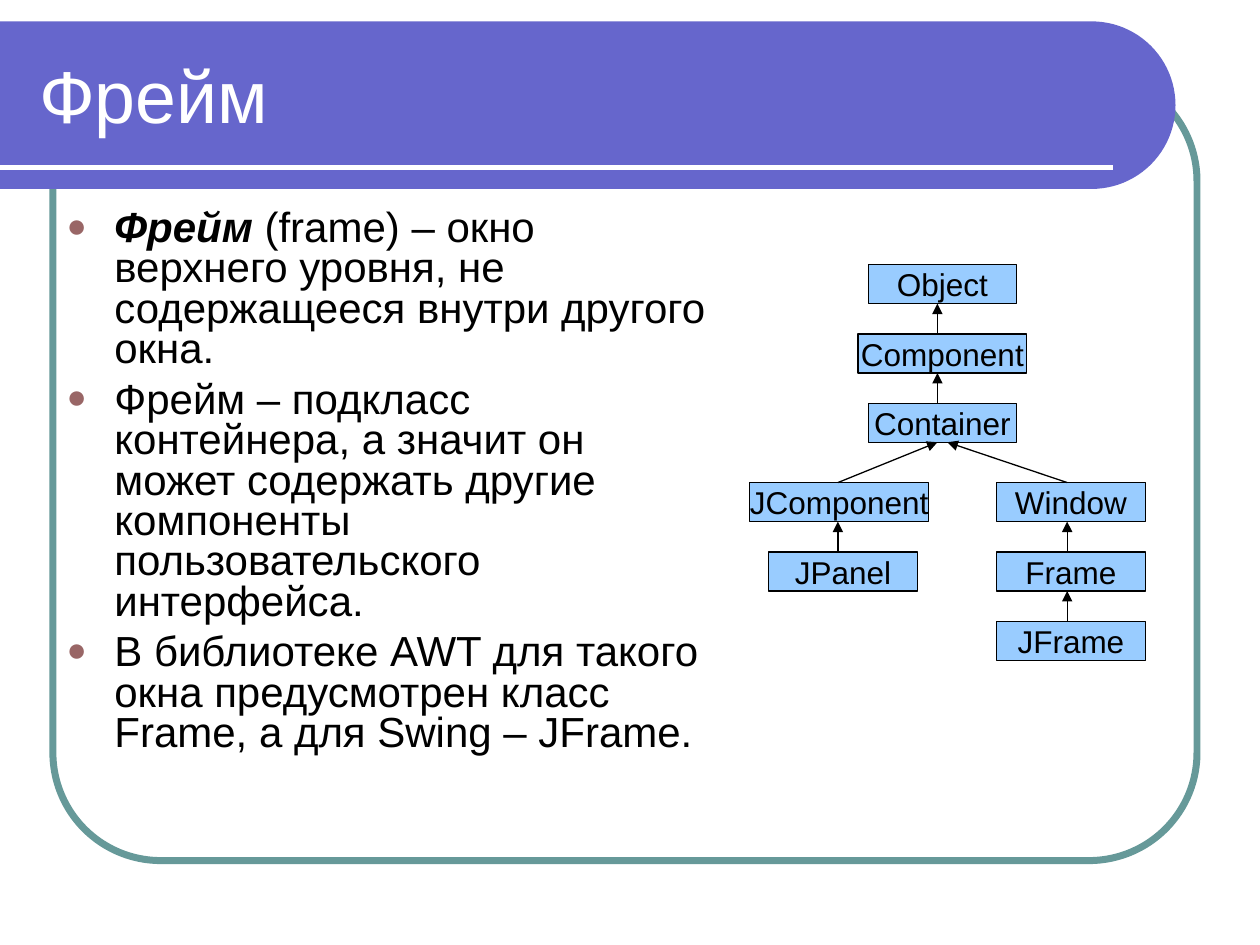
from math import cos, pi, sin

from lxml.etree import SubElement
from pptx import Presentation
from pptx.dml.color import RGBColor
from pptx.enum.shapes import MSO_CONNECTOR as CONN, MSO_SHAPE as SHAPE
from pptx.enum.text import MSO_ANCHOR as ANCHOR, PP_ALIGN as ALIGN
from pptx.oxml.ns import qn
from pptx.util import Inches, Pt


def rgb(value):
    """Turn a hex string into a colour."""
    return RGBColor.from_string(value)


class Deck:
    """Holds the style and the current slide."""

    FONT = "Arial"
    INK, PAPER = "000000", "FFFFFF"
    BANNER, FRAME, BOX, BULLET = "6666CC", "669999", "99CCFF", "996666"

    def __init__(self, prs):
        """Add a title-only slide."""
        self.s = prs.slides.add_slide(prs.slide_layouts[5])

    def style(self, p, size, color):
        """Format every run of a paragraph."""
        for r in p.runs:
            r.font.name, r.font.size = self.FONT, Pt(size)
            r.font.color.rgb = rgb(color)

    def place(self, sp, x, y, w, h):
        """Set position and size in inches."""
        sp.left, sp.top, sp.width, sp.height = map(Inches, (x, y, w, h))

    def frame(self, x, y, w, h, adjust):
        """Draw the rounded outline."""
        sp = self.s.shapes.add_shape(SHAPE.ROUNDED_RECTANGLE, *map(Inches, (x, y, w, h)))
        sp.adjustments[0] = adjust
        sp.shadow.inherit = False
        sp.fill.background()
        sp.line.color.rgb, sp.line.width = rgb(self.FRAME), Pt(4)

    def banner(self, top, right, height, steps=48):
        """Draw a band from the left edge with a half-round right end."""
        radius = height / 2
        angles = [pi * i / steps - pi / 2 for i in range(steps + 1)]
        points = [(right - radius + radius * cos(a), top + radius + radius * sin(a))
                  for a in angles] + [(0, top + height)]
        builder = self.s.shapes.build_freeform(0, Inches(top))
        builder.add_line_segments([(Inches(x), Inches(y)) for x, y in points])
        sp = builder.convert_to_shape()
        sp.shadow.inherit = False
        sp.fill.solid()
        sp.fill.fore_color.rgb = rgb(self.BANNER)
        sp.line.fill.background()

    def line(self, start, end, color=INK, width=0.74, arrow=False):
        """Draw a straight line, with an arrowhead at its end if asked."""
        c = self.s.shapes.add_connector(CONN.STRAIGHT, *map(Inches, start + end))
        c.line.color.rgb, c.line.width = rgb(color), Pt(width)
        if arrow:
            SubElement(c.line._get_or_add_ln(), qn("a:tailEnd"), type="triangle")
        SubElement(c.element.spPr, qn("a:effectLst"))

    def title(self, text, x, y, w, h):
        """Fill the title and bring it in front of the banner."""
        sp = self.s.shapes.title
        self.place(sp, x, y, w, h)
        self.s.shapes.element.append(sp.element)
        tf = sp.text_frame
        tf.text, tf.vertical_anchor = text, ANCHOR.MIDDLE
        tf.paragraphs[0].alignment = ALIGN.LEFT
        self.style(tf.paragraphs[0], 42, self.PAPER)

    def bullets(self, items, x, y, w, h):
        """Write bulleted paragraphs; each item is (emphasis, text)."""
        tf = self.s.shapes.add_textbox(*map(Inches, (x, y, w, h))).text_frame
        tf.word_wrap = True
        for i, (lead, text) in enumerate(items):
            p = tf.add_paragraph() if i else tf.paragraphs[0]
            if lead:
                r = p.add_run()
                r.text, r.font.bold, r.font.italic = lead, True, True
            p.add_run().text = text
            p.line_spacing, p.space_before = 0.8, Pt(6)
            self.style(p, 24, self.INK)
            pr = p._p.get_or_add_pPr()
            pr.set("marL", str(Inches(0.38)))
            pr.set("indent", str(-Inches(0.38)))
            SubElement(SubElement(pr, qn("a:buClr")), qn("a:srgbClr"), val=self.BULLET)
            SubElement(pr, qn("a:buSzPct"), val="80000")
            SubElement(pr, qn("a:buFont"), typeface=self.FONT)
            SubElement(pr, qn("a:buChar"), char="●")

    def box(self, text, x, y, w, h):
        """Draw a class box with a centred name."""
        sp = self.s.shapes.add_shape(SHAPE.RECTANGLE, *map(Inches, (x, y, w, h)))
        sp.shadow.inherit = False
        sp.fill.solid()
        sp.fill.fore_color.rgb = rgb(self.BOX)
        sp.line.color.rgb, sp.line.width = rgb(self.INK), Pt(0.74)
        tf = sp.text_frame
        tf.text, tf.word_wrap, tf.vertical_anchor = text, False, ANCHOR.MIDDLE
        tf.paragraphs[0].alignment = ALIGN.CENTER
        self.style(tf.paragraphs[0], 18, self.INK)


BOX_W, BOX_H, STEP = 1.18, 0.31, 0.55
TOP, BRANCH = 2.1, 3.83
# First row, arrow x, then (name, left, width) from the top down
COLUMNS = [
    (TOP, 7.44, [("Object", 6.89, BOX_W), ("Component", 6.81, 1.34),
                 ("Container", 6.89, BOX_W)]),
    (BRANCH, 6.65, [("JComponent", 5.95, 1.42), ("JPanel", 6.1, BOX_W)]),
    (BRANCH, 8.47, [("Window", 7.91, BOX_W), ("Frame", 7.91, BOX_W),
                    ("JFrame", 7.91, BOX_W)]),
]
POINTS = [
    ("Фрейм", " (frame) – окно верхнего уровня, не содержащееся внутри другого окна."),
    ("", "Фрейм – подкласс контейнера, а значит он может содержать другие "
         "компоненты пользовательского интерфейса."),
    ("", "В библиотеке AWT для такого окна предусмотрен класс Frame, "
         "а для Swing – JFrame."),
]


def main():
    """Build and save the slide."""
    prs = Presentation()
    prs.slide_width, prs.slide_height = Inches(10), Inches(7.5)
    deck = Deck(prs)
    deck.frame(0.42, 0.58, 9.08, 6.25, 0.137)
    deck.banner(0.17, 9.33, 1.33)
    deck.line((0, 1.33), (8.83, 1.33), deck.PAPER, 3)
    deck.title("Фрейм", 0.21, 0.25, 8.77, 1)
    deck.bullets(POINTS, 0.43, 1.62, 5.36, 4.83)
    for top, arrow_x, boxes in COLUMNS:
        for i, (name, x, w) in enumerate(boxes):
            y = top + i * STEP
            deck.box(name, x, y, w, BOX_H)
            if i:
                deck.line((arrow_x, y), (arrow_x, y - STEP + BOX_H), arrow=True)
    container_bottom = TOP + 2 * STEP + BOX_H
    for child_x, parent_x in ((6.65, 7.44), (8.47, 7.52)):
        deck.line((child_x, BRANCH), (parent_x, container_bottom), arrow=True)
    prs.save("out.pptx")


main()
